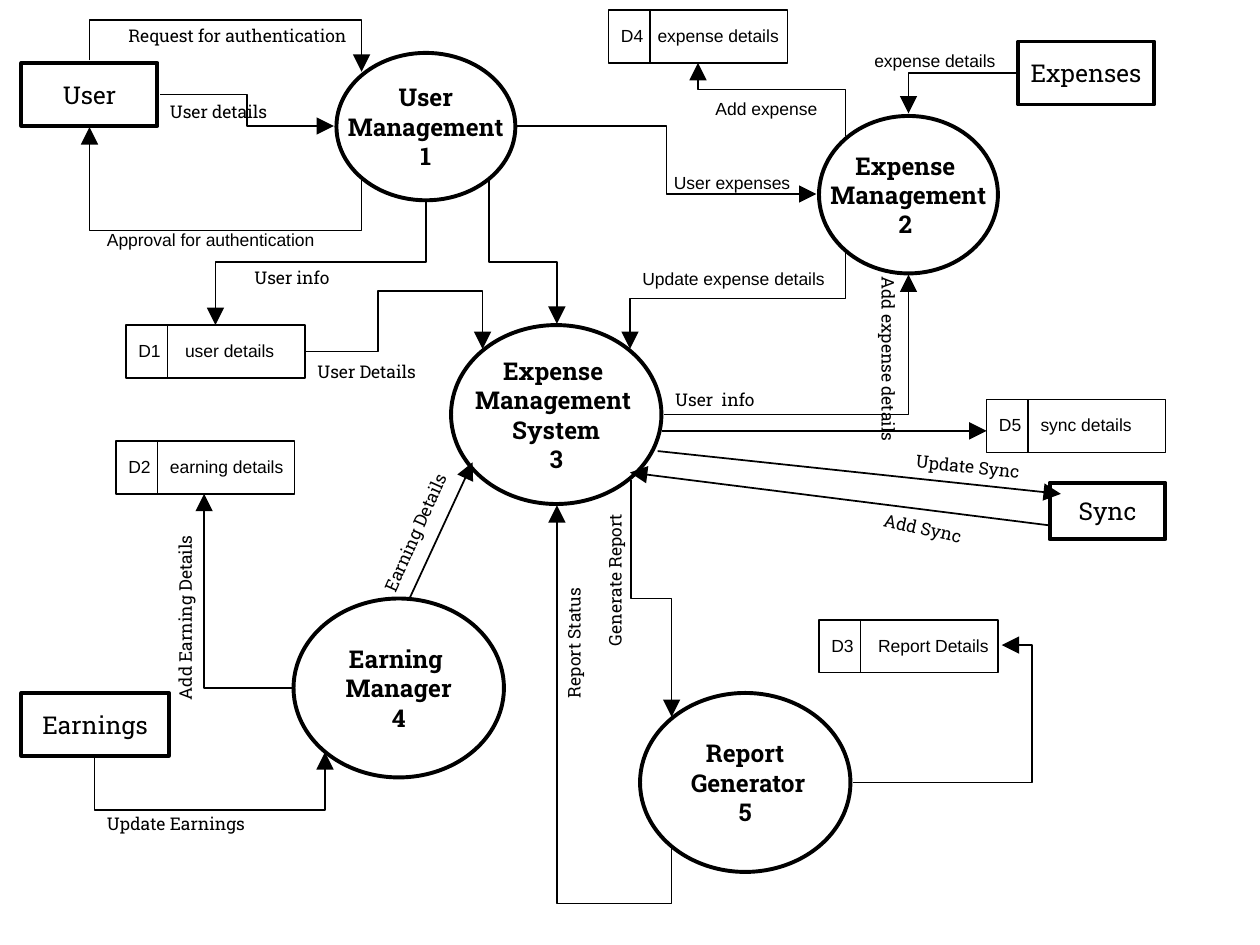
from dataclasses import dataclass

from lxml import etree
from pptx import Presentation
from pptx.dml import color
from pptx.enum import shapes, text
from pptx.oxml import ns
from pptx.util import Inches, Pt


@dataclass(frozen=True)
class Theme:
    ink: color.RGBColor = color.RGBColor(0, 0, 0)
    slab: str = "Roboto Slab"
    sans: str = "Arial"
    title: float = 14
    note: float = 10
    bold: float = 2.25
    flow: float = 1
    thin: float = 0.75


T = Theme()
NODES = [
    ("Expense \nManagement \nSystem\n3", 3.58, 2.58, 1.67, 1.42),
    ("Earning \nManager\n4", 2.33, 4.75, 1.67, 1.42),
    ("User\nManagement\n1", 2.67, 0.42, 1.42, 1.17),
    ("Report\n Generator\n5", 5.08, 5.5, 1.67, 1.42),
    ("Expense \nManagement\n2 ", 6.5, 0.92, 1.42, 1.25),
]
ACTORS = [
    ("Earnings", 0.17, 5.5, 1.17, 0.5),
    ("User", 0.17, 0.5, 1.08, 0.5),
    ("Expenses", 8.08, 0.33, 1.08, 0.5),
    ("Sync", 8.33, 3.83, 0.92, 0.45),
]
STORES = [
    ("D1", "user details", 1, 2.58, 0.37),
    ("D4", "expense details", 4.83, 0.08, 0.29),
    ("D5", "sync details", 7.83, 3.17, 0.33),
    ("D3", "Report Details", 6.5, 4.92, 0.37),
    ("D2", "earning details", 0.92, 3.5, 0.33),
]
SLAB = [
    ("Update Earnings", 0.75, 6.4, 1.34, 0),
    ("Add Earning Details", 0.69, 4.74, 1.56, 270),
    ("User info", 1.92, 2.07, 0.81, 0),
    ("Generate Report", 4.23, 4.44, 1.3, 270),
    ("Add expense details", 6.28, 2.73, 1.54, 90),
    ("User Details", 2.42, 2.82, 1.02, 0),
    ("User  info", 5.26, 3.04, 0.85, 0),
    ("Add Sync", 6.91, 4.06, 0.84, 12.5),
    ("Update Sync", 7.17, 3.57, 1.06, 5.9),
    ("Request for authentication", 0.92, 0.15, 2, 0),
    ("User details", 1.25, 0.75, 1, 0),
    ("Earning Details", 2.68, 4.07, 1.25, 294),
    ("Report Status", 3.99, 4.94, 1.13, 270),
]
SANS = [
    ("Approval for authentication", 0.75, 1.77, 1.95),
    ("expense details", 6.84, 0.35, 1.25),
    ("Add expense", 5.58, 0.73, 1.25),
    ("User expenses", 5.25, 1.32, 1.25),
    ("Update expense details", 5, 2.08, 1.75),
]
RAYS = [
    ((5.22, 3.58), (8.42, 3.92)),
    ((8.33, 4.17), (5, 3.75)),
    ((3.25, 4.75), (3.75, 3.67)),
    ((5.25, 3.42), (7.83, 3.42)),
]
BENDS = [
    ((0.71, 0.48), (2.87, 0.57), {"y": 0.16}),
    ((1.27, 0.75), (2.65, 1), {"x": 1.96}),
    ((4.1, 1), (6.48, 1.54), {"x": 5.29}),
    ((8.07, 0.58), (7.21, 0.9), {}),
    ((2.87, 1.43), (0.71, 1.01), {"y": 1.83}),
    ((5.33, 6.73), (4.42, 4.01), {"y": 7.17}),
    ((2.32, 5.46), (1.62, 3.92), {}),
    ((0.75, 6.02), (2.58, 5.97), {"y": 6.43}),
    ((3.38, 1.6), (1.71, 2.58), {"y": 2.08}),
    ((3.88, 1.43), (4.42, 2.57), {"y": 2.08}),
    ((2.42, 2.79), (3.83, 2.77), {"x": 3, "y": 2.31}),
    ((6.71, 1.08), (5.54, 0.5), {"y": 0.71}),
    ((6.71, 2), (5, 2.77), {"y": 2.37}),
    ((5.27, 3.29), (7.21, 2.18), {}),
    ((5.01, 3.81), (5.33, 5.69), {"y": 4.75}),
    ((6.77, 6.21), (7.95, 5.12), {"x": 8.19}),
]


def add(node, tag, **attrs):
    return etree.SubElement(node, ns.qn(tag), **attrs)


def write(shape, words, size=T.note, font=T.slab, bold=False, align=None, wrap=False, tab=None):
    frame = shape.text_frame
    frame.text = words
    frame.word_wrap = wrap
    for para in frame.paragraphs:
        para.alignment = align
        if tab:
            stops = add(para._p.get_or_add_pPr(), "a:tabLst")
            add(stops, "a:tab", pos=str(Inches(tab)), algn="l")
        for run in para.runs:
            run.font.size = Pt(size)
            run.font.name = font
            run.font.bold = bold
            run.font.color.rgb = T.ink


def ink(line, width):
    line.color.rgb = T.ink
    line.width = Pt(width)


def block(pool, kind, x, y, w, h, width=T.bold):
    shape = pool.add_shape(kind, *map(Inches, (x, y, w, h)))
    shape.shadow.inherit = False
    shape.fill.background()
    ink(shape.line, width)
    return shape


def title(pool, kind, words, x, y, w, h, bold=False):
    shape = block(pool, kind, x, y, w, h)
    shape.text_frame.vertical_anchor = text.MSO_ANCHOR.MIDDLE
    write(shape, words, size=T.title, bold=bold, align=text.PP_ALIGN.CENTER)


def label(pool, words, x, y, w, turn=0, **form):
    box = pool.add_textbox(*map(Inches, (x, y, w, 0.27)))
    box.rotation = turn
    write(box, words, **form)
    box.text_frame.auto_size = text.MSO_AUTO_SIZE.SHAPE_TO_FIT_TEXT


def link(pool, start, end, kind=shapes.MSO_CONNECTOR.STRAIGHT, width=T.flow, head=True):
    line = pool.add_connector(kind, *map(Inches, (*start, *end)))
    ink(line.line, width)
    if head:
        add(line.line._get_or_add_ln(), "a:tailEnd", type="triangle", w="lg", len="lg")
    add(line._element.spPr, "a:effectLst")
    return line


def bend(pool, start, end, x=None, y=None):
    (x1, y1), (x2, y2) = start, end
    dx, dy = x2 - x1, y2 - y1
    w, h = abs(dx), abs(dy)
    fracs = []
    if x is not None:
        fracs.append((x - x1) / dx)
    if y is not None:
        fracs.append((y - y1) / dy)
    if y is not None and x is None:
        w, h = h, w
        turn = 270 if dx * dy > 0 else 90
        flips = {"flipH": (turn == 270) == (dy > 0), "flipV": (turn == 270) == (dx < 0)}
    else:
        turn = 180 if dx < 0 else 0
        flips = {"flipV": (dx < 0) != (dy < 0)}
    left, top = (x1 + x2 - w) / 2, (y1 + y2 - h) / 2
    line = link(pool, (left, top), (left + w, top + h), shapes.MSO_CONNECTOR.ELBOW)
    props = line._element.spPr
    frame = props.find(ns.qn("a:xfrm"))
    frame.set("rot", str(turn * 60000))
    for name, on in flips.items():
        frame.set(name, str(int(on)))
    geom = props.find(ns.qn("a:prstGeom"))
    geom.set("prst", f"bentConnector{len(fracs) + 2}")
    guides = geom.find(ns.qn("a:avLst"))
    for n, frac in enumerate(fracs, 1):
        add(guides, "a:gd", name=f"adj{n}", fmla=f"val {round(frac * 100000)}")


def store(pool, code, words, x, y, tab):
    group = pool.add_group_shape().shapes
    block(group, shapes.MSO_SHAPE.RECTANGLE, x, y, 1.42, 0.42, T.thin)
    edge = x + 0.33
    link(group, (edge, y), (edge, y + 0.42), width=T.thin, head=False)
    label(group, f"{code}\t{words}", x, y + 0.07, 1.55, font=T.sans, wrap=True, tab=tab)


def main():
    deck = Presentation()
    deck.slide_width, deck.slide_height = Inches(10), Inches(7.5)
    pool = deck.slides.add_slide(deck.slide_layouts[6]).shapes
    for node in NODES:
        title(pool, shapes.MSO_SHAPE.OVAL, *node, bold=True)
    for actor in ACTORS:
        title(pool, shapes.MSO_SHAPE.RECTANGLE, *actor)
    for item in STORES:
        store(pool, *item)
    for start, end in RAYS:
        link(pool, start, end)
    for start, end, mid in BENDS:
        bend(pool, start, end, **mid)
    for note in SLAB:
        label(pool, *note)
    for note in SANS:
        label(pool, *note, font=T.sans, wrap=True)
    deck.save("out.pptx")


main()
